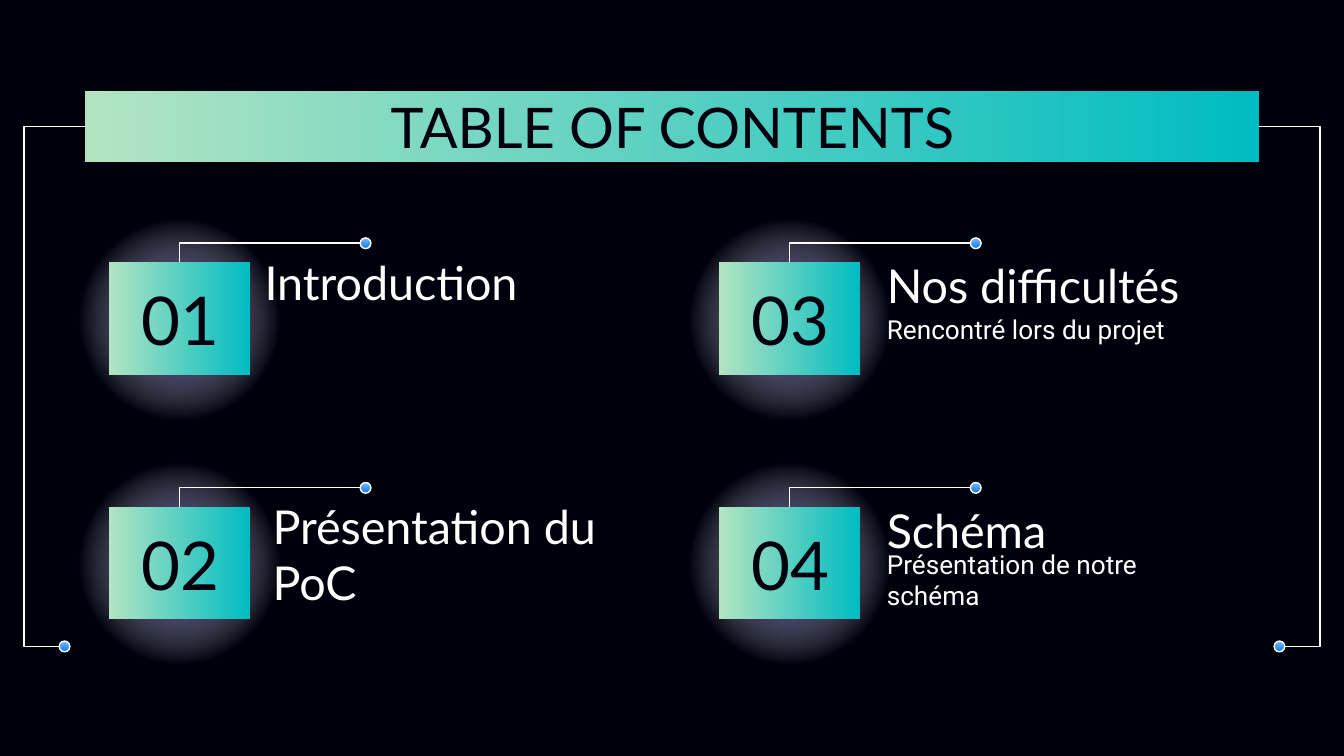
from lxml import etree
from pptx import Presentation
from pptx.dml.color import RGBColor
from pptx.enum import shapes, text
from pptx.oxml import ns
from pptx.util import Inches, Pt

COLORS = {
    "night": "00000D", "white": "FFFFFF", "teal": "00BCC2", "mint": "B2E4C2",
    "indigo": "170F8D", "sky": "82BCFE", "blue": "0C77F1",
}
# Gradient stops: position in percent, colour, opacity in percent
BAND = [(0, "teal", 100), (100, "mint", 100)]
DOT = [(0, "sky", 100), (100, "blue", 100)]
GLOW = [(0, "indigo", 100), (61, "white", 0), (100, "white", 0)]

HEADING = {"size": Pt(25), "name": "Lato"}
NUMBER = {"size": Pt(36), "name": "Lato"}
TITLE = {"size": Pt(30), "name": "Lato"}
DETAIL = {"size": Pt(14), "name": "Roboto"}

COLUMNS = (0.81, 5.35)
ROWS = (1.95, 3.77)
BOX_W, BOX_H = 1.05, 0.84
DOT_SIZE = 0.08
# Number, column, row, heading box, heading, detail box, detail
ENTRIES = [
    ("01", 0, 0, (1.87, 1.81, 2.74, 0.58), "Introduction", None, None),
    ("02", 0, 1, (1.93, 3.83, 2.83, 0.58), "Présentation du PoC", None, None),
    ("03", 1, 0, (6.5, 1.83, 3.05, 0.58), "Nos difficultés",
     (6.5, 2.18, 2.42, 0.53), "Rencontré lors du projet"),
    ("04", 1, 1, (6.5, 3.65, 3.03, 0.58), "Schéma",
     (6.5, 4.05, 2.42, 0.53), "Présentation de notre schéma"),
]


def color(name):
    return RGBColor.from_string(COLORS[name])


def set_gradient(shape, stops, angle=None):
    """Fill with a linear gradient, or a circular one when angle is None."""
    shape.fill.background()
    grad = etree.Element(ns.qn("a:gradFill"), rotWithShape="1")
    stop_list = etree.SubElement(grad, ns.qn("a:gsLst"))
    for position, name, opacity in stops:
        stop = etree.SubElement(stop_list, ns.qn("a:gs"), pos=str(position * 1000))
        rgb = etree.SubElement(stop, ns.qn("a:srgbClr"), val=COLORS[name])
        if opacity < 100:
            etree.SubElement(rgb, ns.qn("a:alpha"), val=str(opacity * 1000))
    if angle is None:
        circle = etree.SubElement(grad, ns.qn("a:path"), path="circle")
        sides = dict.fromkeys("ltrb", "50000")
        etree.SubElement(circle, ns.qn("a:fillToRect"), **sides)
    else:
        etree.SubElement(grad, ns.qn("a:lin"), ang=str(angle * 60000), scaled="0")
    properties = shape._element.spPr
    properties.replace(properties.find(ns.qn("a:noFill")), grad)


def set_line(line):
    line.color.rgb = color("white")
    line.width = Pt(0.75)


def add_gradient_shape(page, kind, place, stops, angle=None):
    shape = page.shapes.add_shape(kind, *map(Inches, place))
    shape.shadow.inherit = False
    set_gradient(shape, stops, angle)
    shape.line.fill.background()
    return shape


def add_text(page, place, words, font, ink="white", align="LEFT", anchor="MIDDLE"):
    box = page.shapes.add_textbox(*map(Inches, place))
    frame = box.text_frame
    settings = {"word_wrap": True, "vertical_anchor": text.MSO_ANCHOR[anchor]}
    for side in ("left", "top", "right", "bottom"):
        settings["margin_" + side] = Inches(0.1)
    for name, value in settings.items():
        setattr(frame, name, value)
    para = frame.paragraphs[0]
    para.alignment = text.PP_ALIGN[align]
    span = para.add_run()
    span.text = words
    for name, value in font.items():
        setattr(span.font, name, value)
    span.font.color.rgb = color(ink)


def add_dot(page, left, middle):
    place = (left, middle - DOT_SIZE / 2, DOT_SIZE, DOT_SIZE)
    dot = add_gradient_shape(page, shapes.MSO_SHAPE.OVAL, place, DOT, 90)
    set_line(dot.line)


def add_elbow(page, start, end, bend=None):
    """Draw one corner, or two with the upright at bend times the width."""
    elbow = page.shapes.add_connector(
        shapes.MSO_CONNECTOR.ELBOW, *map(Inches, start + end))
    set_line(elbow.line)
    properties = elbow._element.spPr
    etree.SubElement(properties, ns.qn("a:effectLst"))
    geometry = properties.find(ns.qn("a:prstGeom"))
    if bend is None:
        geometry.set("prst", "bentConnector2")
    else:
        guides = geometry.find(ns.qn("a:avLst"))
        if guides is None:
            guides = etree.SubElement(geometry, ns.qn("a:avLst"))
        etree.SubElement(guides, ns.qn("a:gd"), name="adj1",
                         fmla=f"val {round(bend * 100000)}")


def add_entry(page, number, column, row, heading_place, heading, detail_place, detail):
    left, top = COLUMNS[column], ROWS[row]
    add_gradient_shape(page, shapes.MSO_SHAPE.OVAL,
                       (left - 0.36, top - 0.43, 1.77, 1.71), GLOW)
    add_gradient_shape(page, shapes.MSO_SHAPE.RECTANGLE,
                       (left, top, BOX_W, BOX_H), BAND, 180)
    add_text(page, (left + 0.09, top + 0.13, 0.88, 0.58), number, NUMBER,
             "night", "CENTER")
    add_text(page, heading_place, heading, HEADING)
    if detail:
        add_text(page, detail_place, detail, DETAIL)
    dot_left, dot_middle = left + 1.87, top - 0.14
    add_dot(page, dot_left, dot_middle)
    add_elbow(page, (dot_left, dot_middle), (left + BOX_W / 2, top))


def add_banner(page):
    add_gradient_shape(page, shapes.MSO_SHAPE.RECTANGLE,
                       (0.63, 0.68, 8.74, 0.53), BAND, 180)
    add_text(page, (0.79, 0.59, 8.43, 0.63), "TABLE OF CONTENTS", TITLE,
             "night", "CENTER", "TOP")
    for dot_left, start, end in ((0.44, 0.44, 0.63), (9.48, 9.56, 9.37)):
        add_dot(page, dot_left, 4.81)
        add_elbow(page, (start, 4.81), (end, 0.94), bend=-1.37)


def main():
    deck = Presentation()
    deck.slide_width = Inches(10)
    deck.slide_height = deck.slide_width * 9 // 16
    page = deck.slides.add_slide(deck.slide_layouts[6])
    page.background.fill.solid()
    page.background.fill.fore_color.rgb = color("night")
    for entry in ENTRIES:
        add_entry(page, *entry)
    add_banner(page)
    deck.save("out.pptx")


if __name__ == "__main__":
    main()
